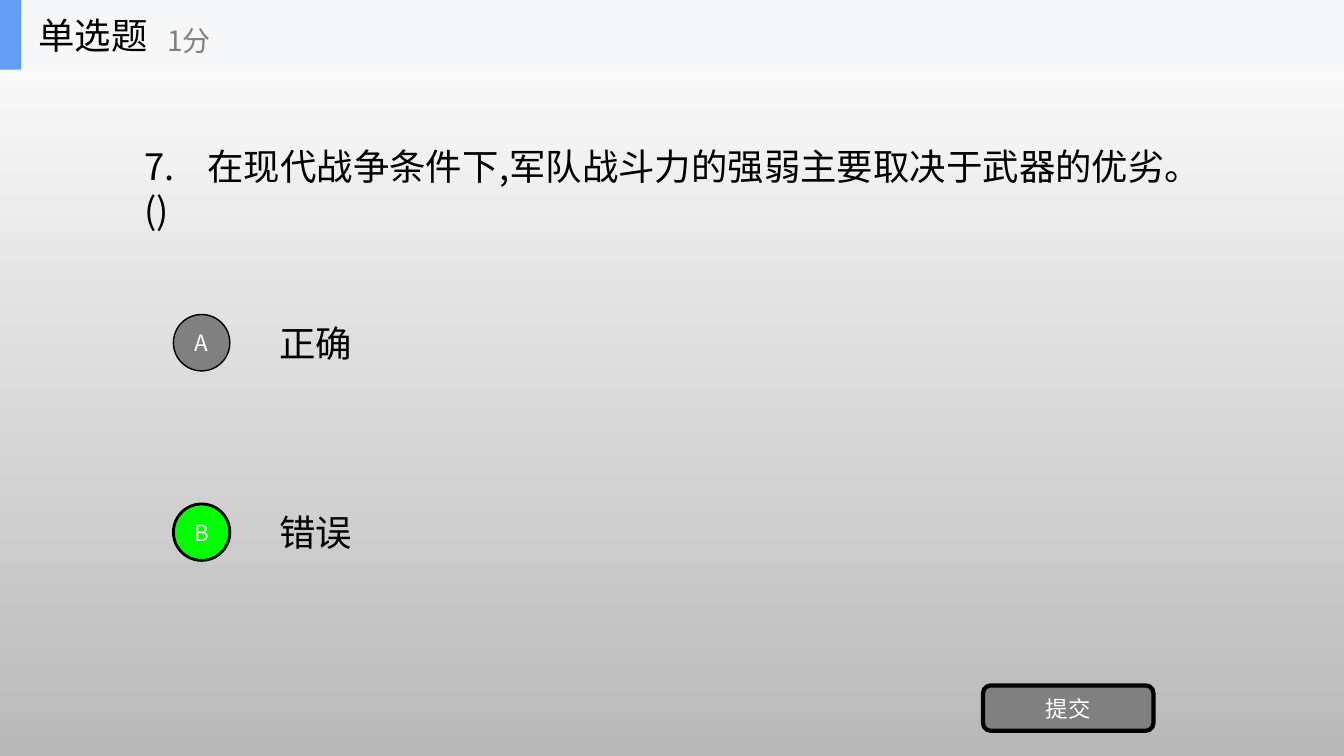
from dataclasses import dataclass

from lxml import etree
from pptx import Presentation
from pptx.dml.color import RGBColor
from pptx.enum.shapes import MSO_SHAPE
from pptx.enum.text import MSO_ANCHOR, MSO_AUTO_SIZE, PP_ALIGN
from pptx.oxml.ns import qn
from pptx.util import Inches, Pt

LEFT, CENTER = PP_ALIGN.LEFT, PP_ALIGN.CENTER
MIDDLE, NO_AUTOFIT = MSO_ANCHOR.MIDDLE, MSO_AUTO_SIZE.NONE
RECTANGLE, OVAL = MSO_SHAPE.RECTANGLE, MSO_SHAPE.OVAL
ROUNDED = MSO_SHAPE.ROUNDED_RECTANGLE
TITLE_ONLY = 5


@dataclass(frozen=True)
class Theme:
    font: str = "Noto Sans CJK SC"
    black: str = "000000"
    white: str = "FFFFFF"
    gray: str = "808080"
    green: str = "00FF00"
    blue: str = "639EF4"
    header: str = "F6F7F8"
    shade: str = "B9B9B9"
    main_size: int = 26
    points_size: int = 20
    label_size: int = 16


theme = Theme()
WIDTH, HEIGHT = 13.33, 7.5
HEADER_HEIGHT = 0.69
OPTION_TOP, OPTION_STEP = 3.12, 1.88
CIRCLE_LEFT, CIRCLE_SIZE = 1.72, 0.56
ANSWER_LEFT, ANSWER_WIDTH = 2.67, 1.03


def write_text(shape, text, size=theme.main_size, color=theme.black, align=LEFT):
    frame = shape.text_frame
    frame.word_wrap = True
    frame.auto_size = NO_AUTOFIT
    frame.vertical_anchor = MIDDLE
    paragraph = frame.paragraphs[0]
    paragraph.alignment = align
    run = paragraph.add_run()
    run.text = text
    run.font.size = Pt(size)
    run.font.color.rgb = RGBColor.from_string(color)
    run.font.name = theme.font
    east_asian = etree.SubElement(run.font._element, qn("a:ea"))
    east_asian.set("typeface", theme.font)


def add_block(kind, left, top, width, height, fill, line_width=0):
    shape = slide.shapes.add_shape(
        kind, Inches(left), Inches(top), Inches(width), Inches(height))
    shape.shadow.inherit = False
    shape.fill.solid()
    shape.fill.fore_color.rgb = RGBColor.from_string(fill)
    if line_width:
        shape.line.color.rgb = RGBColor.from_string(theme.black)
        shape.line.width = Pt(line_width)
    else:
        shape.line.fill.background()
    return shape


presentation = Presentation()
presentation.slide_width = Inches(WIDTH)
presentation.slide_height = Inches(HEIGHT)
slide = presentation.slides.add_slide(presentation.slide_layouts[TITLE_ONLY])

# Background fading from top to bottom
background = slide.background.fill
background.gradient()
background.gradient_angle = 270
for stop, color in zip(background.gradient_stops, (theme.white, theme.shade)):
    stop.color.rgb = RGBColor.from_string(color)

# Header band with question type and points
add_block(RECTANGLE, 0, 0, WIDTH, HEADER_HEIGHT, theme.header)
add_block(RECTANGLE, 0, 0, 0.21, HEADER_HEIGHT, theme.blue)
title = slide.shapes.title
title.left, title.top = Inches(0.28), Inches(0)
title.width, title.height = Inches(2.08), Inches(HEADER_HEIGHT)
write_text(title, "单选题")
slide.shapes._spTree.append(title._element)  # bring in front of the band
points = slide.shapes.add_textbox(
    Inches(1.56), Inches(0.12), Inches(2.5), Inches(0.56))
write_text(points, "1分", size=theme.points_size, color=theme.gray)

# Question
question = slide.shapes.add_textbox(
    Inches(WIDTH * 0.1), Inches(1.38), Inches(WIDTH * 0.8), Inches(0.97))
write_text(question, "7.    在现代战争条件下,军队战斗力的强弱主要取决于武器的优劣。()")

# Answer options
options = [
    ("A", "正确", theme.gray, 1),
    ("B", "错误", theme.green, 2),
]
for row, (letter, answer, fill, line_width) in enumerate(options):
    top = OPTION_TOP + row * OPTION_STEP
    circle = add_block(
        OVAL, CIRCLE_LEFT, top, CIRCLE_SIZE, CIRCLE_SIZE, fill, line_width)
    write_text(circle, letter, size=theme.label_size, color=theme.white, align=CENTER)
    answer_box = slide.shapes.add_textbox(
        Inches(ANSWER_LEFT), Inches(top), Inches(ANSWER_WIDTH), Inches(CIRCLE_SIZE))
    write_text(answer_box, answer)

# Submit button
button = add_block(ROUNDED, 9.75, 6.8, 1.69, 0.45, theme.gray, 3)
write_text(button, "提交", size=theme.label_size, color=theme.white, align=CENTER)

presentation.save("out.pptx")
